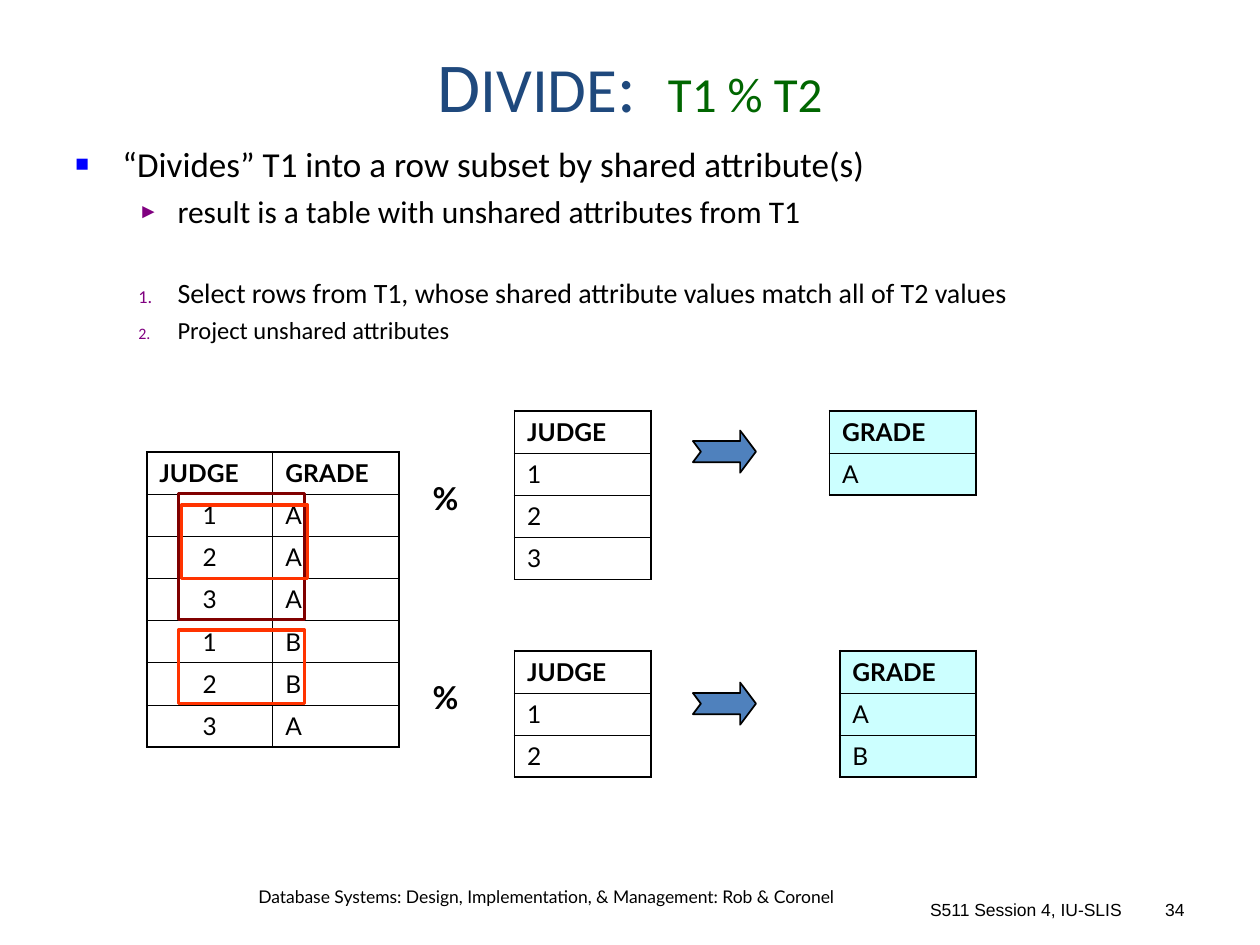
from lxml.etree import SubElement
from pptx import Presentation
from pptx.dml.color import RGBColor
from pptx.enum.shapes import MSO_SHAPE
from pptx.enum.text import MSO_ANCHOR, MSO_AUTO_SIZE, PP_ALIGN
from pptx.oxml.ns import qn
from pptx.util import Cm, Pt

COLORS = {
    "ink": "000000", "title": "1F497D", "formula": "006600",
    "square": "0000FF", "marker": "800080", "result": "CCFFFF",
    "arrow": "4F81BD", "three_rows": "800000", "two_rows": "FF3300",
}
ROW_HEIGHT = 0.85


def rgb(name):
    return RGBColor.from_string(COLORS[name])


def write(paragraph, text, font="Lato", size=14, color="ink", bold=False,
          align=PP_ALIGN.LEFT, before=0):
    paragraph.alignment = align
    paragraph.space_before = Pt(before)
    run = paragraph.add_run()
    run.text = text
    run.font.name = font
    run.font.size = Pt(size)
    run.font.bold = bold
    run.font.color.rgb = rgb(color)


def add_bullet(paragraph, symbol, color, left, hanging):
    properties = paragraph._p.get_or_add_pPr()
    properties.set("marL", str(Cm(left)))
    properties.set("indent", str(-Cm(hanging)))
    tint = SubElement(properties, qn("a:buClr"))
    SubElement(tint, qn("a:srgbClr"), val=COLORS[color])
    SubElement(properties, qn("a:buSzPct"), val="65000")
    if symbol:
        SubElement(properties, qn("a:buFont"), typeface="Arial")
        SubElement(properties, qn("a:buChar"), char=symbol)
    else:
        SubElement(properties, qn("a:buFont"), typeface="+mj-lt")
        SubElement(properties, qn("a:buAutoNum"), type="arabicPeriod")


def add_border(cell, side, width):
    border = SubElement(cell._tc.get_or_add_tcPr(), qn(f"a:{side}"), w=str(Pt(width)))
    fill = SubElement(border, qn("a:solidFill"))
    SubElement(fill, qn("a:srgbClr"), val=COLORS["ink"])


class SlideBuilder:
    outer_line = 1.08
    inner_line = 0.45

    def __init__(self, slide):
        self.slide = slide

    def title(self, parts, left, top, width, height):
        heading = self.slide.shapes.title
        heading.left, heading.top = Cm(left), Cm(top)
        heading.width, heading.height = Cm(width), Cm(height)
        frame = heading.text_frame
        frame.auto_size = MSO_AUTO_SIZE.NONE
        frame.vertical_anchor = MSO_ANCHOR.MIDDLE
        for text, size, color in parts:
            write(frame.paragraphs[0], text, font="Calibri", size=size,
                  color=color, align=PP_ALIGN.CENTER)

    def frame(self, left, top, width, height, anchor=MSO_ANCHOR.TOP):
        frame = self.slide.shapes.add_textbox(
            Cm(left), Cm(top), Cm(width), Cm(height)).text_frame
        frame.word_wrap = True
        frame.vertical_anchor = anchor
        return frame

    def label(self, text, left, top, width, height, anchor=MSO_ANCHOR.TOP, **style):
        write(self.frame(left, top, width, height, anchor).paragraphs[0], text, **style)

    def outline(self, points, left, top, width, height):
        frame = self.frame(left, top, width, height)
        for index, (text, size, before, bullet) in enumerate(points):
            paragraph = frame.add_paragraph() if index else frame.paragraphs[0]
            add_bullet(paragraph, *bullet)
            write(paragraph, text, font="Calibri", size=size, before=before)

    def relation(self, rows, left, top, column_width, fill=None, first_align=PP_ALIGN.LEFT):
        row_count, column_count = len(rows), len(rows[0])
        table = self.slide.shapes.add_table(
            row_count, column_count, Cm(left), Cm(top),
            Cm(column_width * column_count), Cm(ROW_HEIGHT * row_count)).table
        table.first_row = table.horz_banding = False
        for r, row in enumerate(rows):
            for c, text in enumerate(row):
                cell = table.cell(r, c)
                header = r == 0
                align = first_align if c == 0 and not header else PP_ALIGN.LEFT
                write(cell.text_frame.paragraphs[0], text, bold=header, align=align)
                edges = {"lnL": c == 0, "lnR": c == column_count - 1,
                         "lnT": header, "lnB": r == row_count - 1}
                for side, is_outer in edges.items():
                    add_border(cell, side, self.outer_line if is_outer else self.inner_line)
                if fill:
                    cell.fill.solid()
                    cell.fill.fore_color.rgb = rgb(fill)
                else:
                    cell.fill.background()

    def shape(self, kind, left, top, width, height, line, line_width, fill=None):
        shape = self.slide.shapes.add_shape(kind, Cm(left), Cm(top), Cm(width), Cm(height))
        shape.shadow.inherit = False
        shape.line.color.rgb = rgb(line)
        shape.line.width = Pt(line_width)
        if fill:
            shape.fill.solid()
            shape.fill.fore_color.rgb = rgb(fill)
        else:
            shape.fill.background()
        return shape

    def arrow(self, left, top):
        arrow = self.shape(MSO_SHAPE.NOTCHED_RIGHT_ARROW, left, top, 1.27, 0.85,
                           "ink", 1, "arrow")
        arrow.adjustments[0] = 0.5
        arrow.adjustments[1] = 0.375

    def highlight(self, left, top, height, line):
        self.shape(MSO_SHAPE.RECTANGLE, left, top, 2.54, height, line, 2)


def main():
    presentation = Presentation()
    presentation.slide_width, presentation.slide_height = Cm(25.4), Cm(19.05)
    builder = SlideBuilder(presentation.slides.add_slide(presentation.slide_layouts[5]))

    builder.title([("D", 40, "title"), ("IVIDE", 36, "title"), (":  ", 40, "title"),
                   ("T1 % T2", 28, "formula")], 1.27, 0.64, 22.86, 2.12)

    step = (None, "marker", 2.06, 0.79)
    builder.outline([
        ("“Divides” T1 into a row subset by shared attribute(s)", 20, 0,
         ("■", "square", 0.95, 0.95)),
        ("result is a table with unshared attributes from T1", 18, 4.5,
         ("►", "marker", 2.06, 0.79)),
        ("Select rows from T1, whose shared attribute values match all of T2 values",
         16, 26, step),
        ("Project unshared attributes", 14, 3.5, step),
    ], 1.27, 2.75, 22.86, 14.6)

    builder.relation([("JUDGE", "GRADE"), *zip("123123", "AAABBA")],
                     2.96, 9.11, 2.54, first_align=PP_ALIGN.CENTER)

    divisions = [
        ("123", "A", 8.28, 16.72, 2.96, 9.53, 8.68),
        ("12", "AB", 13.12, 16.93, 2.75, 13.55, 13.76),
    ]
    for judges, grades, top, result_left, result_width, sign_top, arrow_top in divisions:
        builder.relation([("JUDGE",), *zip(judges)], 10.37, top, 2.75)
        builder.relation([("GRADE",), *zip(grades)], result_left, top, result_width,
                         fill="result")
        builder.label("%", 8.47, sign_top, 1.27, 1.02, size=18, bold=True)
        builder.arrow(13.97, arrow_top)

    for left, top, height, line in [(3.6, 9.95, 2.54, "three_rows"),
                                    (3.6, 12.7, 1.48, "two_rows"),
                                    (3.66, 10.18, 1.48, "two_rows")]:
        builder.highlight(left, top, height, line)

    builder.label("Database Systems: Design, Implementation, & Management: Rob & Coronel",
                  3.18, 17.73, 15.66, 0.68, size=10, align=PP_ALIGN.CENTER)
    for text, left, width in [("S511 Session 4, IU-SLIS", 17.36, 5.5), ("34", 23.07, 1.06)]:
        builder.label(text, left, 17.99, width, 0.68, MSO_ANCHOR.BOTTOM,
                      font="Arial", size=10, align=PP_ALIGN.RIGHT)

    presentation.save("out.pptx")


if __name__ == "__main__":
    main()
